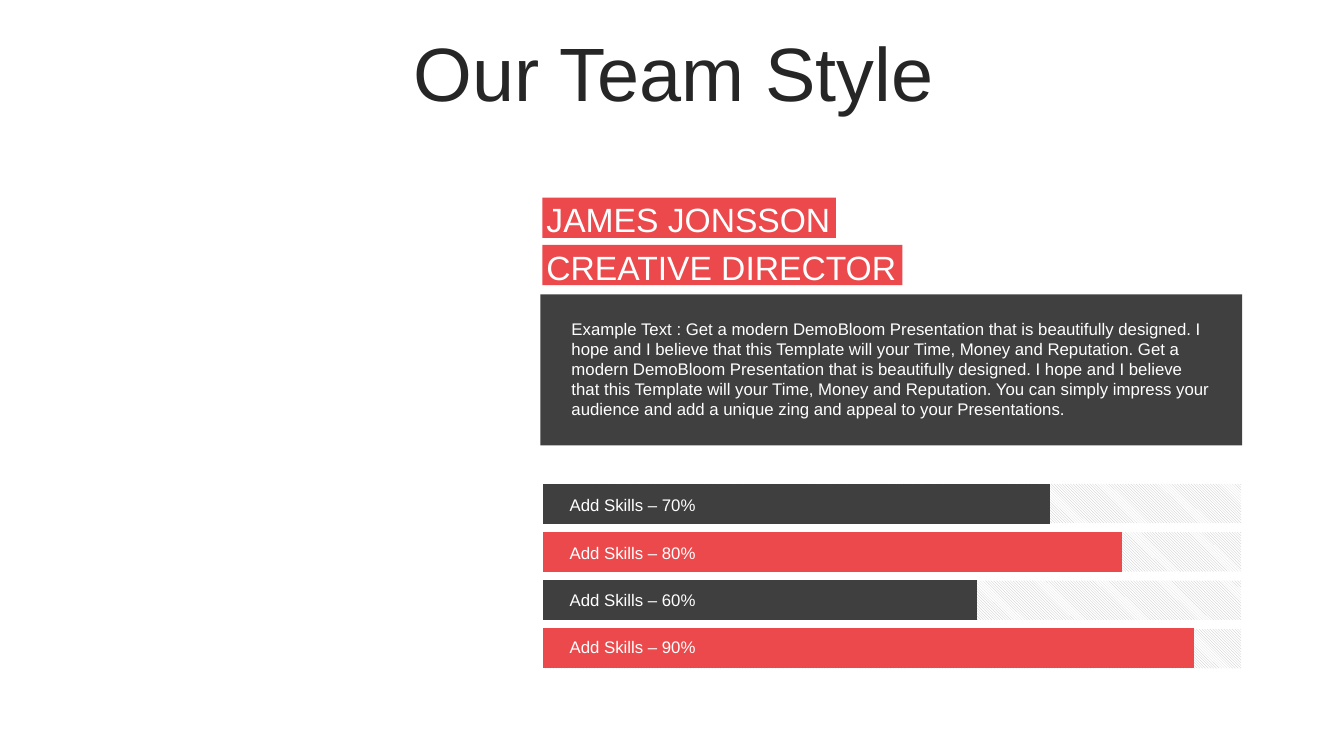
from lxml import etree
from pptx import Presentation
from pptx.chart.data import CategoryChartData
from pptx.dml.color import RGBColor
from pptx.enum.chart import XL_CHART_TYPE as ChartType
from pptx.enum.dml import MSO_PATTERN as Pattern
from pptx.enum.shapes import MSO_SHAPE as Shape
from pptx.enum.text import MSO_ANCHOR as Anchor, PP_ALIGN as Align
from pptx.oxml.ns import qn
from pptx.util import Inches, Pt

COLORS = {
    "title": "262626",
    "dark": "404040",
    "bar": "3F3F3F",
    "red": "EB494B",
    "hatch": "BFBFBF",
    "white": "FFFFFF",
    "black": "000000",
}
BIO = (
    "Example Text : Get a modern DemoBloom Presentation that is beautifully designed. "
    "I hope and I believe that this Template will your Time, Money and Reputation. "
    "Get a modern DemoBloom Presentation that is beautifully designed. "
    "I hope and I believe that this Template will your Time, Money and Reputation. "
    "You can simply impress your audience and add a unique zing and appeal to your "
    "Presentations."
)
SKILLS = [(70, "bar"), (80, "red"), (60, "bar"), (90, "red")]
SKILL_LEFT, SKILL_TOP, SKILL_PITCH = 5.4, 4.8, 0.48
LABEL_TOP, LABEL_PITCH = 4.91, 0.47


def rgb(name):
    return RGBColor.from_string(COLORS[name])


def box(left, top, width, height):
    return [Inches(value) for value in (left, top, width, height)]


class TeamSlide:
    font = "Arial"

    def __init__(self, presentation):
        self.slide = presentation.slides.add_slide(presentation.slide_layouts[5])
        self.shapes = self.slide.shapes

    def set_text(self, frame, text, size, color="white", insets=(0.1, 0.05), align=Align.LEFT):
        frame.word_wrap = True
        frame.margin_left = frame.margin_right = Inches(insets[0])
        frame.margin_top = frame.margin_bottom = Inches(insets[1])
        paragraph = frame.paragraphs[0]
        paragraph.text = text
        paragraph.alignment = align
        paragraph.font.name = self.font
        paragraph.font.size = Pt(size)
        paragraph.font.color.rgb = rgb(color)
        return paragraph

    def title(self, text, place):
        title = self.shapes.title
        title.left, title.top, title.width, title.height = box(*place)
        title.text_frame.vertical_anchor = Anchor.MIDDLE
        heading = self.set_text(title.text_frame, text, 54, "title", align=Align.CENTER)
        heading.line_spacing = 0.9

    def rectangle(self, place):
        rectangle = self.shapes.add_shape(Shape.RECTANGLE, *box(*place))
        rectangle.shadow.inherit = False
        rectangle.line.fill.background()
        return rectangle

    def panel(self, place, color):
        panel = self.rectangle(place)
        panel.fill.solid()
        panel.fill.fore_color.rgb = rgb(color)
        return panel

    def hatched_track(self, place):
        fill = self.rectangle(place).fill
        fill.patterned()
        fill.pattern = Pattern.DARK_DOWNWARD_DIAGONAL
        fill.fore_color.rgb = rgb("hatch")
        fill.back_color.rgb = rgb("white")

    def name_tag(self, text, place):
        frame = self.panel(place, "red").text_frame
        frame.vertical_anchor = Anchor.TOP
        self.set_text(frame, text, 24, insets=(0.04, 0)).line_spacing = Pt(30)

    def text(self, text, place, **style):
        frame = self.shapes.add_textbox(*box(*place)).text_frame
        self.set_text(frame, text, 12, **style)

    def skill_chart(self, skills, place, plot_place):
        """Draw one bar per skill; the first category is the lowest bar."""
        rising = skills[::-1]
        data = CategoryChartData()
        data.categories = [str(number) for number in range(1, len(rising) + 1)]
        data.add_series("Series 1", [percent for percent, _ in rising])
        chart = self.shapes.add_chart(ChartType.BAR_STACKED, *box(*place), data).chart
        chart.has_legend = chart.has_title = False
        chart.font.name, chart.font.size = self.font, Pt(12)
        chart.font.color.rgb = rgb("black")
        for axis in (chart.category_axis, chart.value_axis):
            axis.has_major_gridlines = False
            axis.visible = False
        chart.value_axis.minimum_scale, chart.value_axis.maximum_scale = 0, 100

        plot = chart.plots[0]
        plot.gap_width, plot.overlap = 20, 100
        plot.vary_by_categories = False
        series = plot.series[0]
        series.format.fill.solid()
        series.format.fill.fore_color.rgb = rgb("dark")
        for index, (_, color) in enumerate(rising):
            fill = series.points[index].format.fill
            fill.solid()
            fill.fore_color.rgb = rgb(color)
        self.fix_plot_area(chart, plot_place)

    def fix_plot_area(self, chart, plot_place):
        """Pin the inner plot area to fractions of the chart frame."""
        area = chart.element.find(".//" + qn("c:plotArea")) if hasattr(chart, "element") \
            else chart.plots[0]._element.getparent()
        layout = area.find(qn("c:layout"))
        if layout is None:
            layout = etree.Element(qn("c:layout"))
            area.insert(0, layout)
        manual = etree.SubElement(layout, qn("c:manualLayout"))
        settings = [("layoutTarget", "inner"), ("xMode", "edge"), ("yMode", "edge")]
        for tag, value in settings + list(zip("xywh", plot_place)):
            etree.SubElement(manual, qn("c:" + tag)).set("val", str(value))


def main():
    presentation = Presentation()
    presentation.slide_width, presentation.slide_height = Inches(13.33), Inches(7.5)
    team = TeamSlide(presentation)

    team.title("Our Team Style", (0.35, 0.37, 12.66, 0.79))
    for row in range(len(SKILLS)):
        team.hatched_track((SKILL_LEFT, SKILL_TOP + row * SKILL_PITCH, 6.91, 0.39))
    team.skill_chart(SKILLS, (5.09, 4.5, 7.58, 2.19), (0.039, 0.121, 0.947, 0.867))
    team.name_tag("JAMES JONSSON", (5.38, 1.96, 2.91, 0.4))
    team.name_tag("CREATIVE DIRECTOR", (5.38, 2.43, 3.57, 0.4))
    team.panel((5.36, 2.92, 6.96, 1.5), "dark")
    team.text(BIO, (5.57, 3.11, 6.54, 1.11))
    for row, (percent, _) in enumerate(SKILLS):
        label_place = (5.65, LABEL_TOP + row * LABEL_PITCH, 2.23, 0.2)
        team.text(f"Add Skills – {percent}%", label_place, insets=(0, 0))

    presentation.save("out.pptx")


if __name__ == "__main__":
    main()
